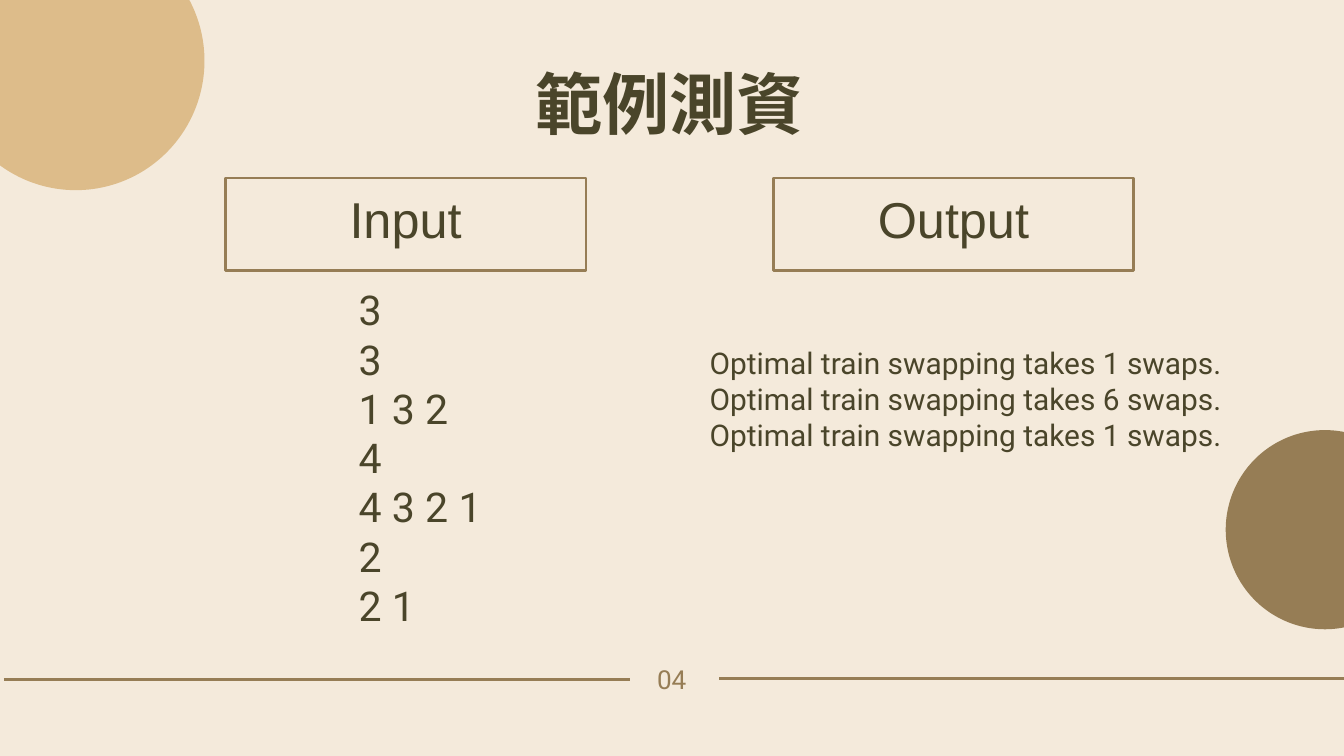
"""Build the sample test data slide with its input and output columns."""
from lxml.etree import SubElement
from pptx import Presentation
from pptx.dml.color import RGBColor
from pptx.enum.shapes import MSO_CONNECTOR as Connector, MSO_SHAPE as Shape
from pptx.enum.text import MSO_ANCHOR as Anchor, MSO_AUTO_SIZE as Fit, PP_ALIGN as Align
from pptx.oxml.ns import qn
from pptx.util import Cm, Pt

COLORS = {"page": "F4EADB", "brown": "967D55", "sand": "DDBC8A", "ink": "4A452A"}
INPUT_LINES = ["3", "3", "1 3 2", "4", "4 3 2 1", "2", "2 1"]
OUTPUT_LINES = [f"Optimal train swapping takes {count} swaps." for count in (1, 6, 1)]


class SlideBuilder:
    def __init__(self, page):
        self.page = page
        page.background.fill.solid()
        page.background.fill.fore_color.rgb = self.color("page")

    def color(self, name):
        return RGBColor.from_string(COLORS[name])

    def fill_text(self, box, lines, size, font="Roboto", color="ink",
                  align=Align.LEFT, spacing=None, bold=False):
        frame = box.text_frame
        frame.word_wrap = True
        frame.auto_size = Fit.NONE
        frame.vertical_anchor = Anchor.TOP
        frame.margin_left = frame.margin_right = 0
        frame.margin_top = frame.margin_bottom = 0
        for index, line in enumerate(lines):
            para = frame.add_paragraph() if index else frame.paragraphs[0]
            para.alignment = align
            if spacing:
                para.line_spacing = Pt(spacing)
            span = para.add_run()
            span.text = line
            span.font.size = Pt(size)
            span.font.bold = bold
            span.font.color.rgb = self.color(color)
            span.font.name = font
            SubElement(span.font._element, qn("a:ea"), typeface=font)

    def title(self, text, left, top, width, height):
        box = self.page.shapes.title
        box.left, box.top, box.width, box.height = map(Cm, (left, top, width, height))
        self.fill_text(box, [text], 72, "Noto Sans CJK SC",
                       align=Align.CENTER, spacing=86.4, bold=True)

    def text(self, lines, left, top, width, height, size, **style):
        box = self.page.shapes.add_textbox(*map(Cm, (left, top, width, height)))
        self.fill_text(box, lines, size, **style)

    def line(self, start, end, level):
        line = self.page.shapes.add_connector(
            Connector.STRAIGHT, *map(Cm, (start, level, end, level)))
        line.line.color.rgb = self.color("brown")
        line.line.width = Pt(3)
        SubElement(line._element.spPr, qn("a:effectLst"))

    def circle(self, left, top, width, height, color):
        circle = self.page.shapes.add_shape(
            Shape.OVAL, *map(Cm, (left, top, width, height)))
        circle.shadow.inherit = False
        circle.fill.solid()
        circle.fill.fore_color.rgb = self.color(color)
        circle.line.fill.background()

    def heading(self, label, left):
        frame = self.page.shapes.add_shape(
            Shape.RECTANGLE, *map(Cm, (left, 6.73, 13.62, 3.5)))
        frame.shadow.inherit = False
        frame.fill.background()
        frame.line.color.rgb = self.color("brown")
        frame.line.width = Pt(3)
        self.text([label], left + 2.14, 8.13, 9.32, 1.5, 54,
                  font="Arial", align=Align.CENTER, spacing=36)


def main():
    deck = Presentation()
    deck.slide_width, deck.slide_height = Cm(50.8), Cm(28.58)
    builder = SlideBuilder(deck.slides.add_slide(deck.slide_layouts[5]))
    builder.line(27.18, 50.8, 25.65)
    builder.text(["04"], 23.04, 25.27, 4.7, 1, 28,
                 color="brown", align=Align.CENTER, spacing=28)
    builder.line(0.15, 23.8, 25.7)
    builder.circle(46.33, 16.26, 7.5, 7.53, "brown")
    builder.circle(-2, -2.59, 9.73, 9.78, "sand")
    builder.title("範例測資", 11.89, 2.36, 26.85, 3.07)
    builder.heading("Input", 8.53)
    builder.heading("Output", 29.24)
    builder.text(INPUT_LINES, 13.56, 10.77, 7.06, 13.16, 44)
    builder.text(OUTPUT_LINES, 26.82, 13.03, 20.12, 4.11, 32)
    deck.save("out.pptx")


if __name__ == "__main__":
    main()
